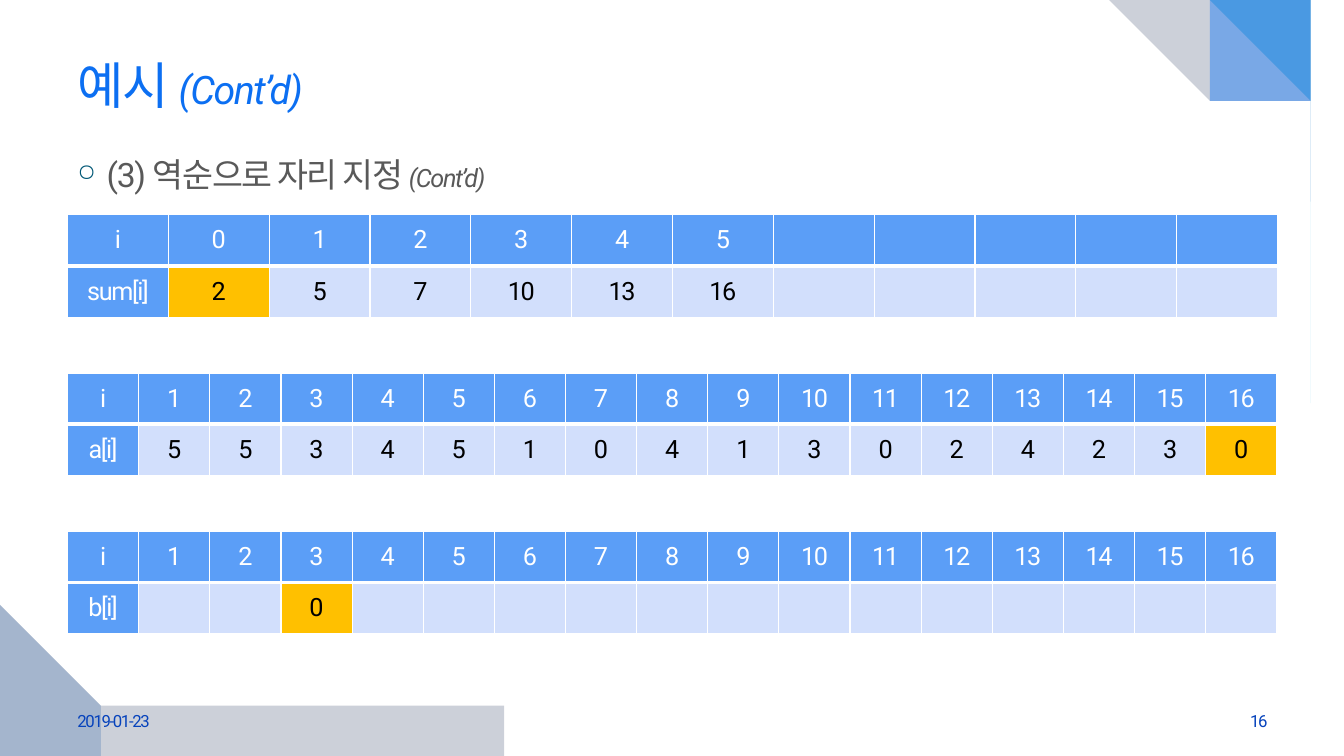
from dataclasses import dataclass

from lxml.etree import SubElement
from pptx import Presentation
from pptx.dml.color import RGBColor
from pptx.enum.text import MSO_ANCHOR, PP_ALIGN
from pptx.oxml.ns import qn
from pptx.util import Emu, Inches, Pt


@dataclass(frozen=True)
class Theme:
    font: str = "Roboto"
    title: str = "0C6FF2"
    body: str = "595959"
    footer: str = "0743BC"
    bullet: str = "005876"
    white: str = "FFFFFF"
    black: str = "000000"
    header: str = "5B9EF7"
    cell: str = "D2DFFC"
    mark: str = "FFC000"
    cyan: str = "00B1E9"
    navy: str = "021741"
    blue: str = "247FF4"
    deep: str = "084AA1"
    title_size: int = 36
    title_note: int = 28
    body_size: int = 24
    body_note: int = 18
    table_size: int = 18
    footer_size: int = 12


def add_run(p, text, font, size, color, italic=False):
    r = p.add_run()
    r.text = text
    r.font.name = font
    r.font.size = Pt(size)
    r.font.bold = False
    r.font.italic = italic
    r.font.color.rgb = RGBColor.from_string(color)
    r._r.get_or_add_rPr().set("spc", "-100")


class SlideBuilder:
    def __init__(self, s, theme):
        self.s = s
        self.theme = theme

    def swoosh(self, color, opacity, points):
        builder = self.s.shapes.build_freeform(*points[0], scale=Inches(1))
        builder.add_line_segments(points[1:], close=True)
        sp = builder.convert_to_shape()
        sp.shadow.inherit = False
        sp.line.fill.background()
        sp.fill.solid()
        sp.fill.fore_color.rgb = RGBColor.from_string(color)
        clr = sp._element.spPr.find(qn("a:solidFill"))[0]
        SubElement(clr, qn("a:alpha")).set("val", str(opacity * 1000))

    def text(self, box, runs, anchor=MSO_ANCHOR.MIDDLE, align=PP_ALIGN.LEFT, bullet=False):
        tf = self.s.shapes.add_textbox(*map(Inches, box)).text_frame
        tf.word_wrap = True
        tf.vertical_anchor = anchor
        p = tf.paragraphs[0]
        p.alignment = align
        if bullet:
            self.bullet(p)
        for text, fmt in runs:
            add_run(p, text, self.theme.font, **fmt)

    def bullet(self, p):
        pPr = p._p.get_or_add_pPr()
        pPr.set("marL", str(Inches(0.29)))
        pPr.set("indent", str(-Inches(0.29)))
        clr = SubElement(pPr, qn("a:buClr"))
        SubElement(clr, qn("a:srgbClr")).set("val", self.theme.bullet)
        SubElement(pPr, qn("a:buSzPct")).set("val", "70000")
        SubElement(pPr, qn("a:buChar")).set("char", "○")

    def borders(self, cell, bottom):
        tcPr = cell._tc.get_or_add_tcPr()
        for side, width in (("L", 1), ("R", 1), ("T", 1), ("B", bottom)):
            ln = SubElement(tcPr, qn(f"a:ln{side}"), w=str(Pt(width)))
            fill = SubElement(ln, qn("a:solidFill"))
            SubElement(fill, qn("a:srgbClr")).set("val", self.theme.white)

    def table(self, top, header, values, marked):
        t = self.theme
        n = len(header)
        table = self.s.shapes.add_table(
            2, n, Inches(0.67), Inches(top), Inches(12), Inches(1.02)).table
        table.horz_banding = False
        for col in table.columns:
            col.width = Emu(Inches(12) // n)
        for i, row in enumerate((header, values)):
            for j, value in enumerate(row):
                is_head = i == 0 or j == 0
                cell = table.cell(i, j)
                cell.vertical_anchor = MSO_ANCHOR.MIDDLE
                self.borders(cell, 1 if i else 3)
                fill = t.header if is_head else t.mark if j == marked else t.cell
                cell.fill.solid()
                cell.fill.fore_color.rgb = RGBColor.from_string(fill)
                if value != "":
                    p = cell.text_frame.paragraphs[0]
                    p.alignment = PP_ALIGN.CENTER
                    add_run(p, str(value), t.font, t.table_size, t.white if is_head else t.black)


def main():
    prs = Presentation()
    prs.slide_width, prs.slide_height = Inches(13.33), Inches(7.5)
    t = Theme()
    b = SlideBuilder(prs.slides.add_slide(prs.slide_layouts[6]), t)

    b.swoosh(t.cyan, 45, [
        (13.33, 4.08), (13.33, 0), (11.89, 0), (11.98, 0.05), (12.1, 0.14), (12.2, 0.23),
        (12.31, 0.35), (12.43, 0.5), (12.53, 0.64), (12.63, 0.81), (12.72, 1), (12.82, 1.21),
        (12.91, 1.46), (13, 1.73), (13.08, 2.03), (13.15, 2.37), (13.21, 2.74), (13.27, 3.15),
        (13.31, 3.6)])
    b.swoosh(t.navy, 20, [
        (8.89, 0), (13.33, 0), (13.33, 2.15), (13.28, 2.02), (13.19, 1.84), (13.09, 1.69),
        (12.96, 1.52), (12.79, 1.34), (12.58, 1.15), (12.32, 0.95), (12.01, 0.76),
        (11.65, 0.58), (11.23, 0.42), (10.75, 0.27), (10.2, 0.15), (9.75, 0.08), (9.33, 0.03)])
    b.swoosh(t.blue, 49, [
        (8.89, 0), (13.33, 0), (13.33, 1.55), (13.28, 1.46), (13.19, 1.33), (13.09, 1.22),
        (12.96, 1.1), (12.79, 0.96), (12.58, 0.83), (12.32, 0.69), (12.02, 0.55),
        (11.66, 0.42), (11.24, 0.3), (10.76, 0.19), (10.21, 0.11), (9.75, 0.05), (9.25, 0.02)])
    b.swoosh(t.navy, 20, [
        (5, 7.5), (0, 7.5), (0, 6.08), (0.06, 6.16), (0.16, 6.28), (0.27, 6.38), (0.42, 6.49),
        (0.61, 6.61), (0.85, 6.74), (1.14, 6.87), (1.48, 6.99), (1.89, 7.11), (2.36, 7.22),
        (2.9, 7.32), (3.52, 7.4), (4.03, 7.45), (4.6, 7.48)])
    b.swoosh(t.deep, 20, [
        (0, 4.58), (0, 7.5), (1.48, 7.5), (1.39, 7.47), (1.26, 7.41), (1.16, 7.34),
        (1.04, 7.25), (0.92, 7.14), (0.79, 7.01), (0.66, 6.84), (0.52, 6.64), (0.4, 6.4),
        (0.29, 6.12), (0.19, 5.81), (0.1, 5.45), (0.04, 5.04), (0.01, 4.76)])

    b.text((0.67, 0.33, 12, 1.01), [
        ("예시 ", dict(size=t.title_size, color=t.title)),
        ("(Cont’d)", dict(size=t.title_note, color=t.title, italic=True))])
    b.text((0.67, 1.48, 12, 0.6), [
        ("(3) 역순으로 자리 지정 ", dict(size=t.body_size, color=t.body)),
        ("(Cont’d)", dict(size=t.body_note, color=t.body, italic=True))],
        anchor=MSO_ANCHOR.TOP, bullet=True)

    footer = dict(size=t.footer_size, color=t.footer)
    b.text((0.67, 6.95, 3.11, 0.4), [("2019-01-23", footer)])
    b.text((9.56, 6.95, 3.11, 0.4), [("16", footer)], align=PP_ALIGN.RIGHT)

    sums = [2, 5, 7, 10, 13, 16]
    blanks = [""] * 5
    numbers = [5, 5, 3, 4, 5, 1, 0, 4, 1, 3, 0, 2, 4, 2, 3, 0]
    placed = [0 if i == 3 else "" for i in range(1, 17)]
    index = ["i", *range(1, 17)]
    tables = [
        (["i", *range(6), *blanks], ["sum[i]", *sums, *blanks], 1),
        (index, ["a[i]", *numbers], 16),
        (index, ["b[i]", *placed], 3)]
    for k, (header, values, marked) in enumerate(tables):
        b.table(2.13 + 1.57 * k, header, values, marked)

    prs.save("out.pptx")


if __name__ == "__main__":
    main()
